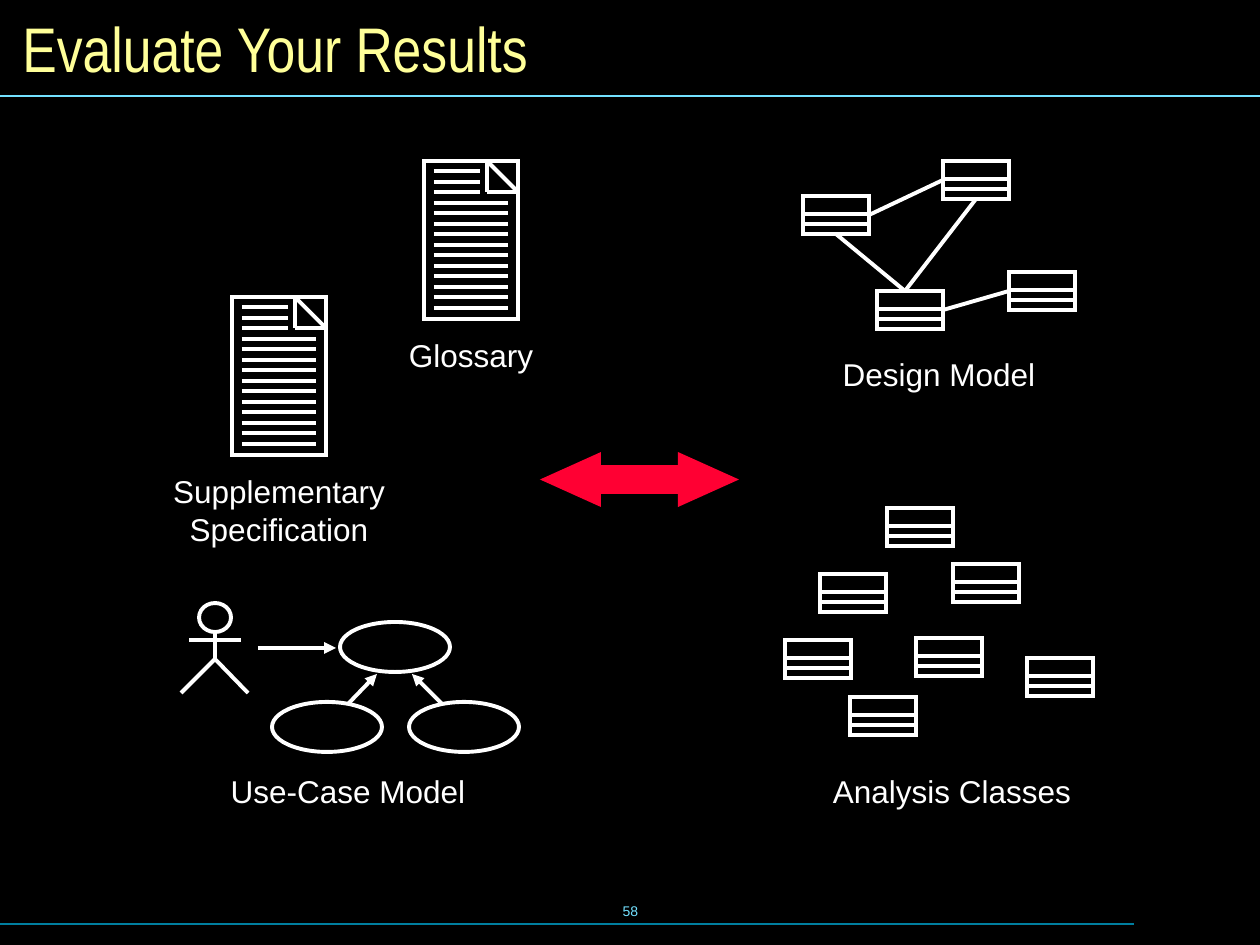
import pptx
import pptx.util
import pptx.dml.color
import pptx.enum.shapes
import pptx.enum.text
import pptx.oxml.ns
import lxml.etree

PX = 914400 / 126
SHAPE = pptx.enum.shapes.MSO_SHAPE
ALIGN = pptx.enum.text.PP_ALIGN
ANCHOR = pptx.enum.text.MSO_ANCHOR
SIZING = pptx.enum.text.MSO_AUTO_SIZE
rgb = pptx.dml.color.RGBColor.from_string
qn = pptx.oxml.ns.qn


def emu(*lengths):
    return [round(n * PX) for n in lengths]


def add_line(x1, y1, x2, y2, color="FFFFFF", width=2.25, arrow=False):
    c = s.shapes.add_connector(pptx.enum.shapes.MSO_CONNECTOR.STRAIGHT, *emu(x1, y1, x2, y2))
    c.line.color.rgb = rgb(color)
    c.line.width = pptx.util.Pt(width)
    if arrow:
        lxml.etree.SubElement(c.line._get_or_add_ln(), qn("a:tailEnd"), type="triangle")
    lxml.etree.SubElement(c._element.spPr, qn("a:effectLst"))
    return c


prs = pptx.Presentation()
prs.slide_width, prs.slide_height = emu(1260, 945)
s = prs.slides.add_slide(prs.slide_layouts[6])
s.background.fill.solid()
s.background.fill.fore_color.rgb = rgb("000000")

add_line(0, 924, 1134, 924, "007E9F", 0.75)
add_line(0, 96, 1260, 96, "73E1FF", 0.75)

sp = s.shapes.add_shape(SHAPE.LEFT_RIGHT_ARROW, *emu(540, 452, 199, 55))
sp.shadow.inherit = False
sp.adjustments[0], sp.adjustments[1] = 0.52, 1.11
sp.fill.solid()
sp.fill.fore_color.rgb = rgb("FF0033")
sp.line.fill.background()

design = [(803, 196), (943, 161), (877, 291), (1009, 272)]
analysis = [(820, 574), (953, 564), (887, 508), (1027, 658), (785, 640), (850, 697), (916, 638)]
documents = [(232, 297), (424, 161)]
use_cases = [(340, 622), (272, 702), (409, 702)]

outlines = [(SHAPE.RECTANGLE, x, y, 66, 38) for x, y in design + analysis]
outlines += [(SHAPE.RECTANGLE, x, y, 94, 158) for x, y in documents]
outlines += [(SHAPE.OVAL, x, y, 110, 50) for x, y in use_cases]
outlines += [(SHAPE.OVAL, 199, 603, 32, 29)]
shapes = []
for kind, *box in outlines:
    shapes.append(s.shapes.add_shape(kind, *emu(*box)))

fb = s.shapes.build_freeform(181, 693, scale=PX)
fb.add_line_segments([(215, 659), (248, 693)], close=False)
shapes.append(fb.convert_to_shape())

for sp in shapes:
    sp.shadow.inherit = False
    sp.fill.background()
    sp.line.color.rgb = rgb("FFFFFF")
    sp.line.width = pptx.util.Pt(2.25)
    lxml.etree.SubElement(sp.line._get_or_add_ln(), qn("a:miter"), lim="800000")

for x, y in design + analysis:
    for dy in (18, 28):
        add_line(x, y + dy, x + 66, y + dy)

left, upper, lower, right = shapes[:4]
c = add_line(836, 234, 905, 291)
c.begin_connect(left, 2)
c = add_line(976, 199, 905, 291)
c.begin_connect(upper, 2)
for begin, end in [(left, upper), (lower, right)]:
    c = add_line(0, 0, 0, 0)
    c.begin_connect(begin, 3)
    c.end_connect(end, 1)

for x, y in documents:
    add_line(x + 63, y, x + 94, y + 31)
    add_line(x + 63, y, x + 63, y + 31)
    add_line(x + 94, y + 31, x + 63, y + 31)
    for i in range(1, 15):
        dy = i * 21 // 2
        add_line(x + 10, y + dy, x + (56 if i <= 3 else 84), y + dy)

add_line(215, 632, 215, 659)
add_line(189, 640, 241, 640)
for ends in [(258, 648, 336, 648), (348, 704, 377, 674), (442, 704, 412, 674)]:
    add_line(*ends, arrow=True)

label = {"size": 18, "name": "Arial", "color": "FFFFFF"}
title = {"size": 36, "name": "Arial Narrow", "color": "FFFF99"}
number = {"size": 8, "name": "Arial", "color": "73E1FF"}
centred = {"word_wrap": False, "auto_size": SIZING.SHAPE_TO_FIT_TEXT}
middle = {"word_wrap": False, "vertical_anchor": ANCHOR.MIDDLE}
wrapped = {"word_wrap": True, "vertical_anchor": ANCHOR.MIDDLE}
texts = [
    (["Evaluate Your Results"], (10, 11, 1240, 73), title, wrapped, ALIGN.LEFT),
    (["58"], (431, 879, 399, 63), number, middle, ALIGN.CENTER),
    (["Design Model"], (826, 349, 226, 50), label, centred, ALIGN.CENTER),
    (["Analysis Classes"], (817, 766, 270, 50), label, centred, ALIGN.CENTER),
    (["Supplementary", "Specification"], (156, 466, 246, 88), label, centred, ALIGN.CENTER),
    (["Glossary"], (391, 330, 160, 50), label, centred, ALIGN.CENTER),
    (["Use-Case Model"], (213, 766, 270, 50), label, centred, ALIGN.CENTER),
]
for lines, box, font, frame, align in texts:
    tf = s.shapes.add_textbox(*emu(*box)).text_frame
    for key, value in frame.items():
        setattr(tf, key, value)
    for i, text in enumerate(lines):
        p = tf.add_paragraph() if i else tf.paragraphs[0]
        p.alignment = align
        r = p.add_run()
        r.text = text
        r.font.color.rgb = rgb(font["color"])
        for key, value in {"size": pptx.util.Pt(font["size"]), "name": font["name"]}.items():
            setattr(r.font, key, value)

prs.save("out.pptx")
